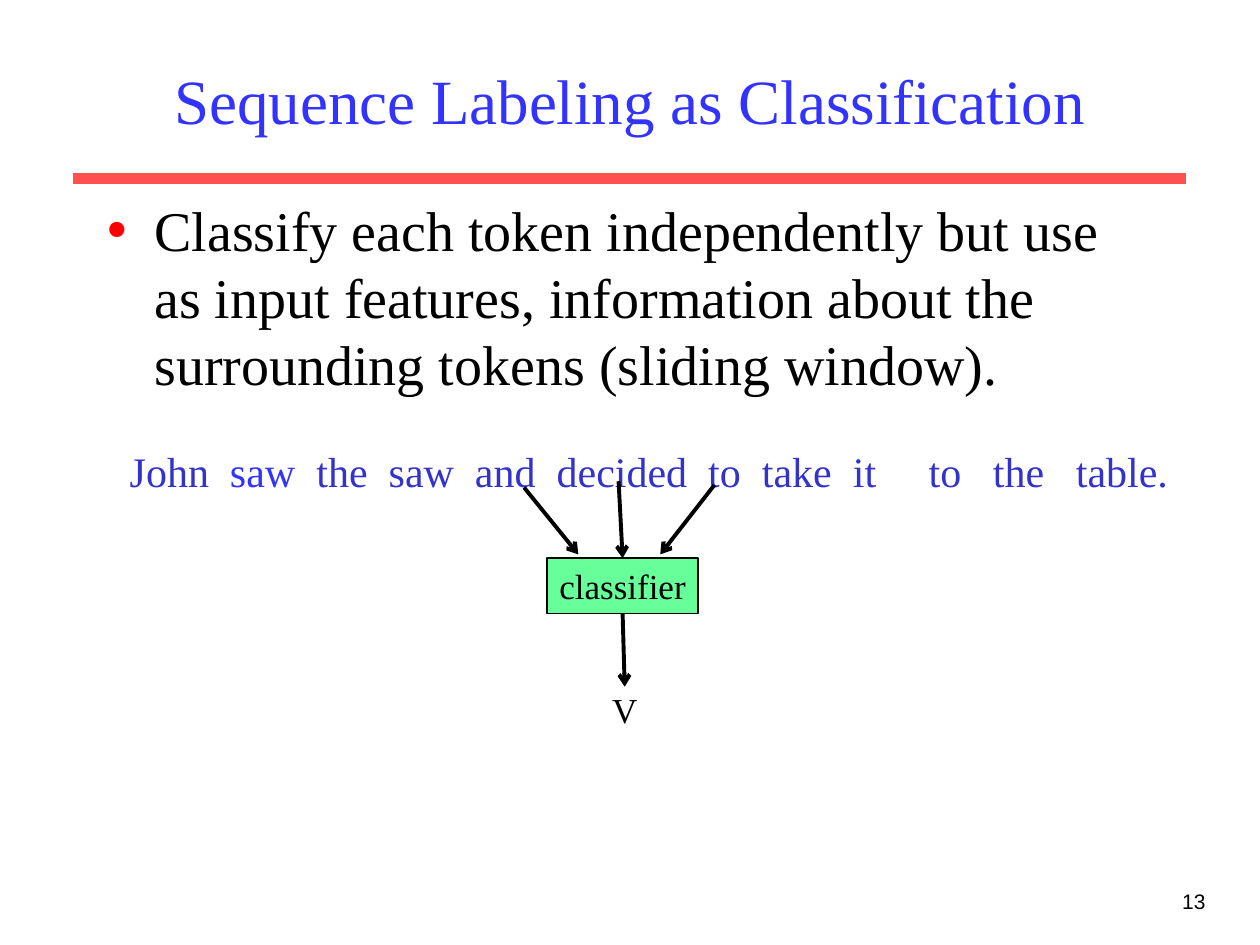
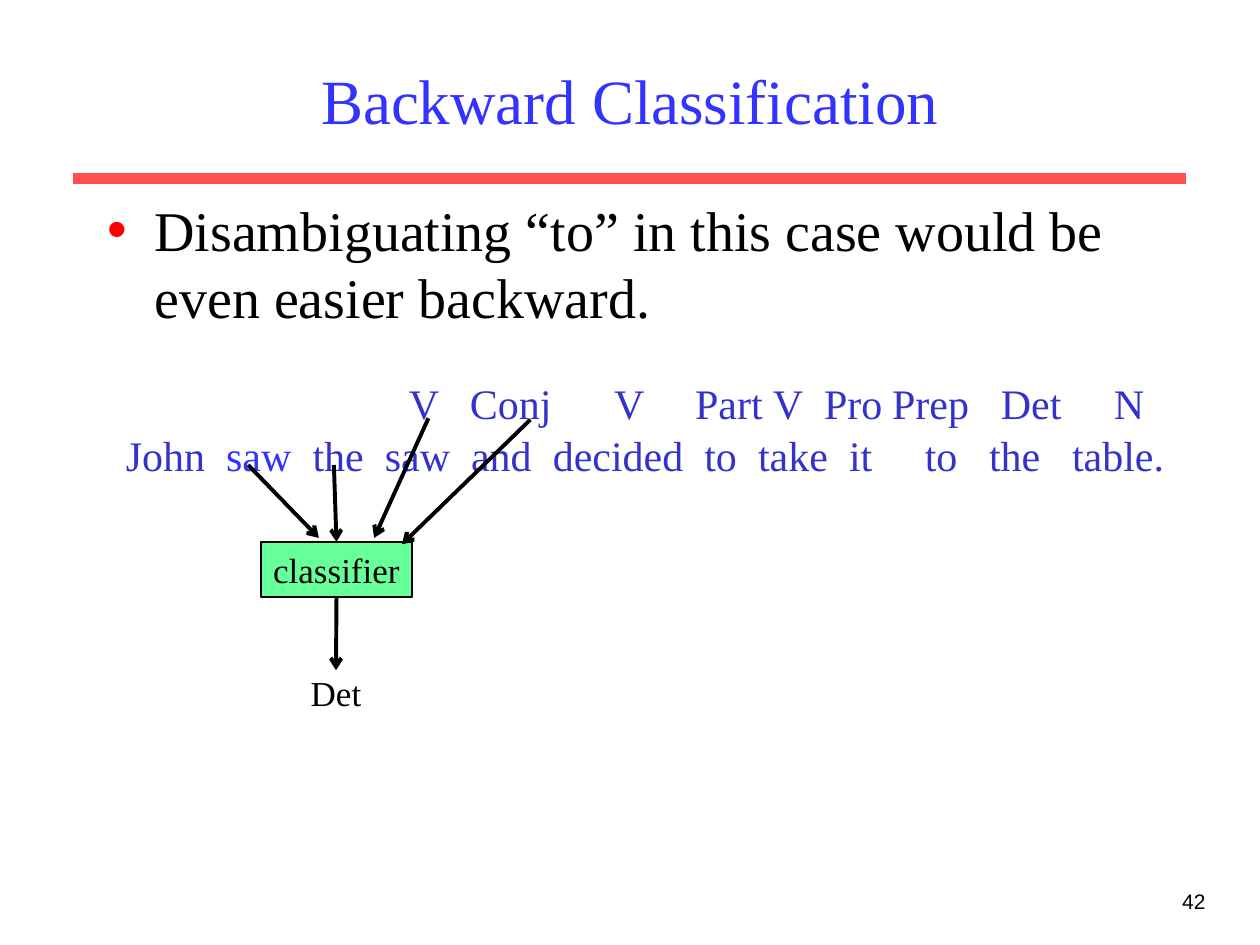
from lxml import etree
from pptx import Presentation
from pptx import util as u
from pptx.dml.color import RGBColor
from pptx.enum import shapes, text
from pptx.oxml import ns

COLORS = {
    "title": "3333FF",
    "divider": "FF5050",
    "bullet": "FF0000",
    "token": "3333CC",
    "accent": "3333FF",
    "ink": "000000",
    "classifier": "66FF99",
}
SERIF, SANS = "Times New Roman", "Arial"
SENTENCE = ["John", "saw", "the", "saw", "and", "decided", "to", "take",
            "it", "to", "the", "table."]
SENTENCE_STOPS = [0, 57.3, 106.7, 148, 197.3, 244, 330.6, 361.3,
                  413.3, 456.6, 493.3, 540.7]
TAGS = ["V", "Conj", "V", "Part", "V", "Pro", "Prep", "Det", "N"]
TAG_STOPS = [161.7, 196.6, 279, 325.3, 369.7, 399, 437.9, 500, 564.6]
FRAME = {"word_wrap": True, "auto_size": text.MSO_AUTO_SIZE.NONE}
CENTERED = {"alignment": text.PP_ALIGN.CENTER}


def rgb(name):
    return RGBColor.from_string(COLORS[name])


def apply(target, values):
    for attribute, value in values.items():
        setattr(target, attribute, value)


def place(shape, left, top, width, height):
    apply(shape, {"left": u.Pt(left), "top": u.Pt(top),
                  "width": u.Pt(width), "height": u.Pt(height)})


def style(font, size, color, name=SERIF):
    apply(font, {"size": u.Pt(size), "name": name})
    font.color.rgb = rgb(color)


def write(shape, words, size, color, name=SERIF, frame=None, paragraph=None):
    apply(shape.text_frame, {**FRAME, **(frame or {})})
    line = shape.text_frame.paragraphs[0]
    line.text = words
    apply(line, paragraph or {})
    style(line.runs[0].font, size, color, name)
    return line


def add_text(slide, box, *args, **kwargs):
    label = slide.shapes.add_textbox(*map(u.Pt, box))
    write(label, *args, **kwargs)


def add_line(slide, start, end, color="ink", width=2.25, arrow=True):
    line = slide.shapes.add_connector(
        shapes.MSO_CONNECTOR.STRAIGHT, *map(u.Pt, (*start, *end)))
    line.line.color.rgb = rgb(color)
    line.line.width = u.Pt(width)
    if arrow:
        etree.SubElement(line.line._get_or_add_ln(), ns.qn("a:tailEnd"), type="arrow")
    etree.SubElement(line._element.spPr, ns.qn("a:effectLst"))
    return line


def add_bullet(body, words):
    place(body, 54, 108, 612, 369)
    line = write(body, words, 32, "ink", frame={"vertical_anchor": text.MSO_ANCHOR.TOP})
    properties = line._p.get_or_add_pPr()
    apply_indent = {"marL": u.Pt(27), "indent": u.Pt(-27)}
    for key, value in apply_indent.items():
        properties.set(key, str(value))
    bullet_color = etree.SubElement(properties, ns.qn("a:buClr"))
    etree.SubElement(bullet_color, ns.qn("a:srgbClr"), val=COLORS["bullet"])
    etree.SubElement(properties, ns.qn("a:buChar"), char="•")
    apply(line, {"space_before": u.Pt(0), "line_spacing": u.Pt(38.4)})


def add_page(deck, title, bullet, number):
    slide = deck.slides.add_slide(deck.slide_layouts[1])
    add_line(slide, (42, 102), (678, 102), "divider", 6, arrow=False)
    add_text(slide, (546, 504, 150, 36), number, 12, "ink", SANS,
             paragraph={"alignment": text.PP_ALIGN.RIGHT})
    heading = slide.shapes.title
    place(heading, 54, 18, 612, 78)
    write(heading, title, 36, "title", paragraph=CENTERED,
          frame={"vertical_anchor": text.MSO_ANCHOR.MIDDLE})
    add_bullet(slide.placeholders[1], bullet)
    return slide


def fill_row(line, words, stops, accent=None):
    tabs = etree.SubElement(line._p.get_or_add_pPr(), ns.qn("a:tabLst"))
    for index, (word, stop) in enumerate(zip(words, stops)):
        if stop:
            etree.SubElement(tabs, ns.qn("a:tab"), pos=str(u.Pt(stop)), algn="l")
        run = line.add_run()
        run.text = f"\t{word}" if stop else word
        style(run.font, 24, "accent" if index == accent else "token")
    line.line_spacing = u.Pt(29.5)


def add_sentence(slide, left, top, tagged=False):
    height = 65 if tagged else 36
    frame = slide.shapes.add_textbox(*map(u.Pt, (left, top, 614, height))).text_frame
    apply(frame, FRAME)
    line = frame.paragraphs[0]
    if tagged:
        fill_row(line, TAGS, TAG_STOPS)
        line = frame.add_paragraph()
    fill_row(line, SENTENCE, SENTENCE_STOPS, accent=1)


def add_classifier(slide, left, top, focus, context, output, output_x):
    width, height = 86.6, 31.7
    bottom = top + height
    box = slide.shapes.add_shape(shapes.MSO_SHAPE.RECTANGLE,
                                 *map(u.Pt, (left, top, width, height)))
    box.shadow.inherit = False
    box.fill.solid()
    box.fill.fore_color.rgb = rgb("classifier")
    box.line.color.rgb = rgb("ink")
    box.line.width = u.Pt(1)
    write(box, "classifier", 20, "ink", paragraph=CENTERED,
          frame={"vertical_anchor": text.MSO_ANCHOR.MIDDLE})
    for start, end in context:
        add_line(slide, start, end)
    middle = left + width / 2
    add_line(slide, focus, (middle, top)).end_connect(box, 0)
    result = add_line(slide, (middle, bottom), (output_x, bottom + 41.7))
    result.begin_connect(box, 2)
    add_text(slide, (output_x - 28, bottom + 39, 56, height), output, 20, "ink",
             paragraph=CENTERED)


def main():
    deck = Presentation()
    apply(deck, {"slide_width": u.Pt(720), "slide_height": u.Pt(540)})

    labeling = add_page(
        deck, "Sequence Labeling as Classification",
        "Classify each token independently but use as input features, "
        "information about the surrounding tokens (sliding window).", "13")
    add_sentence(labeling, 67, 250.6)
    add_classifier(labeling, 312.5, 319, (353.5, 275),
                   [((299.5, 278.6), (330.5, 316.8)),
                    ((408.2, 277.2), (377.3, 316.8))], "V", 357)

    backward = add_page(
        deck, "Backward Classification",
        "Disambiguating “to” in this case would be even easier backward.", "42")
    add_sentence(backward, 64.8, 211.7, tagged=True)
    add_classifier(backward, 149, 309.6, (190.8, 265.7),
                   [((141.8, 265.7), (182.2, 307.4)),
                    ((244.8, 239), (213.8, 307.4)),
                    ((303.1, 239.8), (229.7, 311))], "Det", 192)

    deck.save("out.pptx")


if __name__ == "__main__":
    main()
